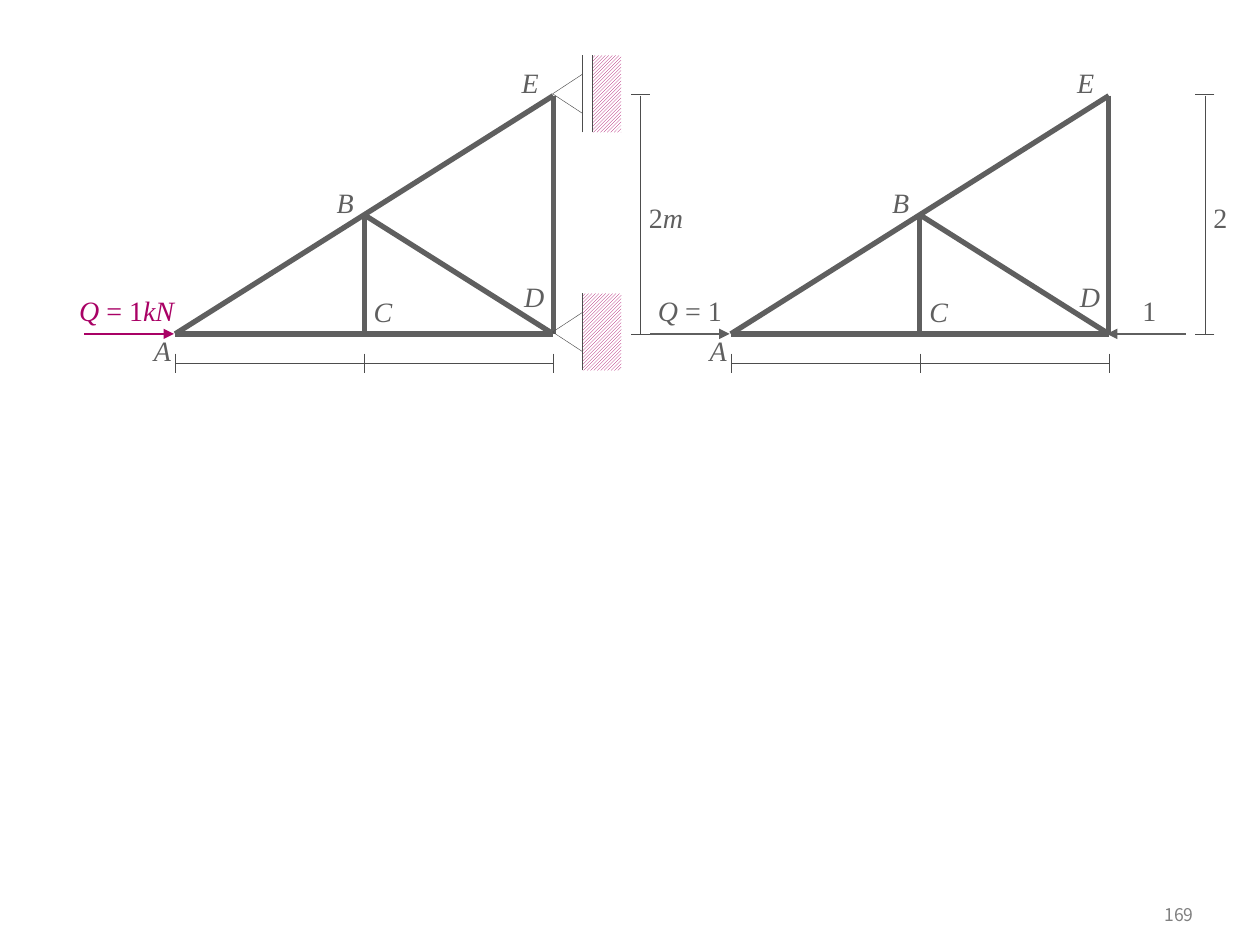
from dataclasses import dataclass

import pptx
import pptx.util
from pptx.dml.color import RGBColor
from pptx.enum.dml import MSO_PATTERN
from pptx.enum.shapes import MSO_CONNECTOR, MSO_SHAPE
from pptx.enum.text import MSO_ANCHOR, PP_ALIGN
from pptx.oxml.ns import qn
from lxml import etree

Pt = pptx.util.Pt


@dataclass(frozen=True)
class Theme:
    member: RGBColor = RGBColor(0x5F, 0x5F, 0x5F)
    thin: RGBColor = RGBColor(0x4D, 0x4D, 0x4D)
    accent: RGBColor = RGBColor(0xA9, 0x01, 0x65)
    number: RGBColor = RGBColor(0x80, 0x80, 0x80)
    paper: RGBColor = RGBColor(0xFF, 0xFF, 0xFF)
    label_font: str = "Times New Roman"
    number_font: str = "Noto Sans CJK KR"
    label_size: float = 16
    number_size: float = 10
    member_width: float = 3
    force_width: float = 1.5
    thin_width: float = 0.25


THEME = Theme()
LABEL_HEIGHT = 19.4
TICK = 10.8


def add_line(shapes, start, end, color=THEME.thin, width=THEME.thin_width, arrow=False):
    connector = shapes.add_connector(
        MSO_CONNECTOR.STRAIGHT, *(Pt(value) for value in (*start, *end)))
    connector.line.color.rgb = color
    connector.line.width = Pt(width)
    properties = connector._element.spPr
    if arrow:
        line = properties.find(qn("a:ln"))
        etree.SubElement(line, qn("a:tailEnd"), type="triangle")
    etree.SubElement(properties, qn("a:effectLst"))


def add_label(shapes, left, top, width, parts, color=THEME.member):
    """Place a centred label; parts are (text, italic) pairs."""
    box = shapes.add_textbox(Pt(left), Pt(top), Pt(width), Pt(LABEL_HEIGHT))
    frame = box.text_frame
    frame.word_wrap = True
    frame.margin_left = frame.margin_right = frame.margin_top = frame.margin_bottom = 0
    paragraph = frame.paragraphs[0]
    paragraph.alignment = PP_ALIGN.CENTER
    for text, italic in parts:
        run = paragraph.add_run()
        run.text = text
        run.font.name = THEME.label_font
        run.font.size = Pt(THEME.label_size)
        run.font.italic = italic
        run.font.color.rgb = color


def add_turned_shape(shapes, kind, center_x, center_y, width, height):
    """Place a shape turned to the left; width and height are before turning."""
    shape = shapes.add_shape(kind, Pt(center_x - width / 2), Pt(center_y - height / 2),
                             Pt(width), Pt(height))
    shape.rotation = 270
    shape.shadow.inherit = False
    return shape


def add_support(shapes, joint_x, joint_y, roller):
    """Draw a wall with a pin, or with a roller gap when roller is true."""
    face, back, half = joint_x + 16.6, joint_x + 38.9, 22
    wall = face + 5.7 if roller else face
    hatch = add_turned_shape(shapes, MSO_SHAPE.RECTANGLE, (wall + back) / 2, joint_y,
                             2 * half, back - wall)
    hatch.fill.patterned()
    hatch.fill.pattern = MSO_PATTERN.LIGHT_UPWARD_DIAGONAL
    hatch.fill.fore_color.rgb = THEME.accent
    hatch.fill.back_color.rgb = THEME.paper
    hatch.line.fill.background()
    for x in sorted({face, wall}):
        add_line(shapes, (x, joint_y + half), (x, joint_y - half))
    pin = add_turned_shape(shapes, MSO_SHAPE.ISOSCELES_TRIANGLE, joint_x + 8.2, joint_y,
                           22.3, 17)
    pin.fill.background()
    pin.line.color.rgb = THEME.thin
    pin.line.width = Pt(THEME.thin_width)


def add_truss(shapes, left, top, width, height, height_x, height_label, label_width):
    """Draw members, joint letters and dimension lines; the box spans the joints."""
    middle, right, bottom = left + width / 2, left + width, top + height
    joints = {"A": (left, bottom), "B": (middle, top + height / 2), "C": (middle, bottom),
              "D": (right, bottom), "E": (right, top)}

    # Members
    for start, end in ("BD", "AD", "EA", "BC", "ED"):
        add_line(shapes, joints[start], joints[end], THEME.member, THEME.member_width)

    # Joint letters, offset from their joints
    offsets = {"A": (-18, 0, 21.6), "B": (-20.2, -16.7, 18.7), "C": (0, -22.3, 21.6),
               "D": (-21.6, -31, 21.6), "E": (-24, -17.3, 21.6)}
    for name, (dx, dy, letter_width) in offsets.items():
        x, y = joints[name]
        add_label(shapes, x + dx, y + dy, letter_width, [(name, True)])

    # Span dimension
    span_y = bottom + 16.7
    add_line(shapes, (left, span_y), (right, span_y))
    for x in (left, middle, right):
        add_line(shapes, (x, span_y - TICK / 2), (x, span_y + TICK / 2))

    # Height dimension
    add_line(shapes, (height_x, top), (height_x, bottom))
    for y in (top - 0.7, bottom):
        add_line(shapes, (height_x + TICK / 2, y), (height_x - TICK / 2, y))
    add_label(shapes, height_x + 1, top + 59.8, label_width, height_label)


def add_force(shapes, start_x, end_x, y, color, label_left, label_width, parts):
    add_line(shapes, (start_x, y), (end_x, y), color, THEME.force_width, arrow=True)
    add_label(shapes, label_left, y - 23, label_width, parts, color)


def add_supported_truss(slide, left, top, width, height):
    shapes = slide.shapes.add_group_shape().shapes
    right, bottom = left + width, top + height
    add_truss(shapes, left, top, width, height, right + 49.7,
              [("2", False), ("m", True)], 27.4)
    add_support(shapes, right, top - 1.1, roller=True)
    add_support(shapes, right, bottom - 1.1, roller=False)
    add_force(shapes, left - 51.9, left - 0.7, bottom, THEME.accent, left - 57.6, 59.8,
              [("Q", True), (" = 1", False), ("kN", True)])


def add_free_truss(slide, left, top, width, height):
    shapes = slide.shapes.add_group_shape().shapes
    right, bottom = left + width, top + height
    add_truss(shapes, left, top, width, height, right + 54.9, [("2", False)], 15.8)
    add_force(shapes, left - 46.1, left - 0.7, bottom, THEME.member, left - 46.1, 45.4,
              [("Q", True), (" = 1", False)])
    add_force(shapes, right + 44, right - 1.1, bottom, THEME.member, right + 16, 14.4,
              [("1", False)])


def add_page_number(slide, left, top, width, height):
    box = slide.shapes.add_textbox(Pt(left), Pt(top), Pt(width), Pt(height))
    frame = box.text_frame
    frame.word_wrap = True
    frame.vertical_anchor = MSO_ANCHOR.MIDDLE
    frame.text = "169"
    paragraph = frame.paragraphs[0]
    paragraph.alignment = PP_ALIGN.RIGHT
    font = paragraph.runs[0].font
    font.name = THEME.number_font
    font.size = Pt(THEME.number_size)
    font.color.rgb = THEME.number


def main():
    presentation = pptx.Presentation()
    presentation.slide_width, presentation.slide_height = Pt(720), Pt(540)
    slide = presentation.slides.add_slide(presentation.slide_layouts[6])
    add_page_number(slide, 638, 510.5, 51, 23.8)
    add_supported_truss(slide, 100.1, 54.7, 216, 136.1)
    add_free_truss(slide, 417.6, 54.7, 216, 136.1)
    presentation.save("out.pptx")


if __name__ == "__main__":
    main()
